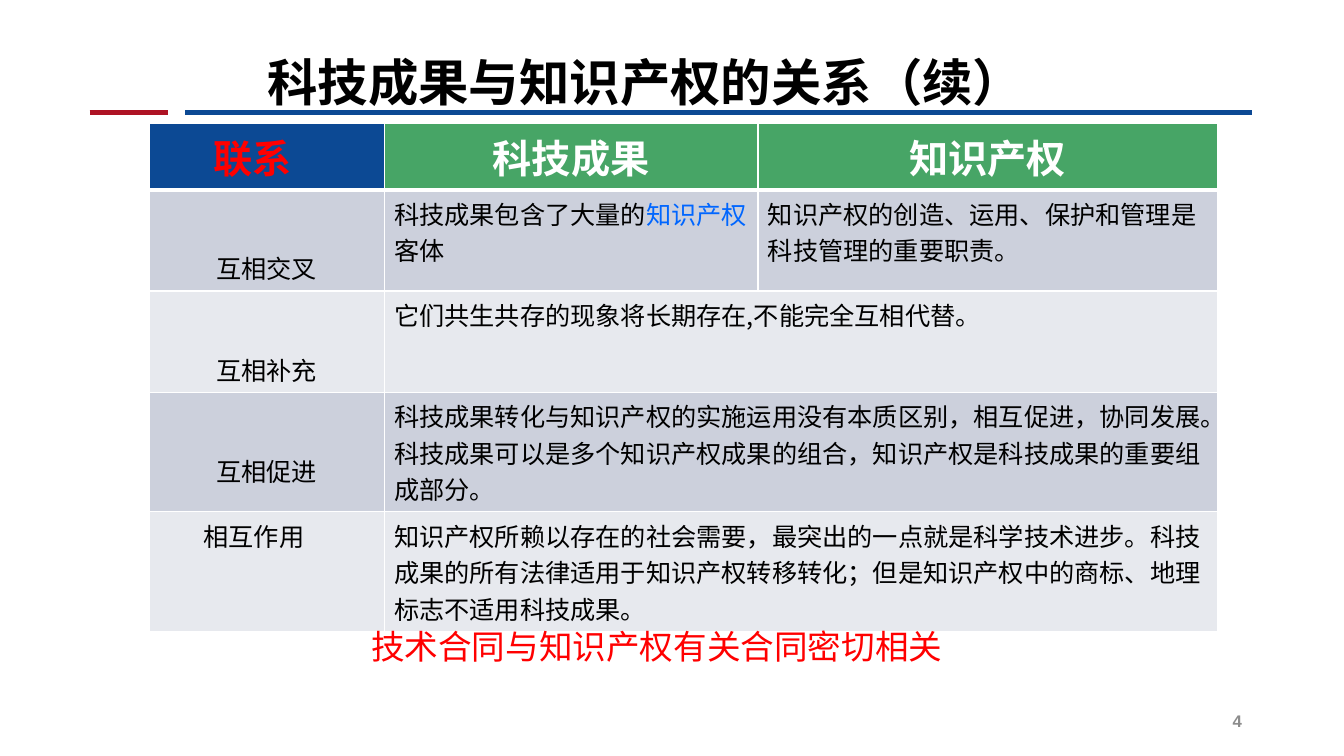
import pptx
import pptx.dml.color
import pptx.enum.shapes
import pptx.enum.text
import pptx.oxml.ns
import lxml.etree
from dataclasses import dataclass
from pptx.util import Cm

TITLE = "科技成果与知识产权的关系（续）"
HEADERS = ["联系", "科技成果", "知识产权"]
# Each row: label, then one list of paragraphs per cell; a paragraph is a list of (text, colour name).
ROWS = [
    ("互相交叉",
     [[("科技成果包含了大量的", "black"), ("知识产权", "link"), ("客体", "black")]],
     [[("知识产权的创造、运用、保护和管理是科技管理的重要职责。", "black")]]),
    ("互相补充",
     [[("它们共生共存的现象将长期存在,不能完全互相代替。", "black")]]),
    ("互相促进",
     [[("科技成果转化与知识产权的实施运用没有本质区别，相互促进，协同发展。", "black")],
      [("科技成果可以是多个知识产权成果的组合，知识产权是科技成果的重要组成部分。", "black")]]),
    ("相互作用",
     [[("知识产权所赖以存在的社会需要，最突出的一点就是科学技术进步。科技成果的所有法律适用于"
        "知识产权转移转化；但是知识产权中的商标、地理标志不适用科技成果。", "black")]]),
]
CONCLUSION = "技术合同与知识产权有关合同密切相关"
PAGE_NUMBER = "4"

COLUMN_WIDTHS = [5.92, 9.42, 11.58]
ROW_HEIGHTS = [1.5, 2.13, 2.16, 2.97, 3.02]
RULES = [(2.26, 4.24, "crimson"), (4.67, 31.55, "navy")]
RULE_TOP = 2.84


@dataclass(frozen=True)
class Theme:
    black: str = "000000"
    white: str = "FFFFFF"
    red: str = "FF0000"
    link: str = "0066FF"
    crimson: str = "AE1324"
    navy: str = "0C4994"
    green: str = "47A566"
    band_dark: str = "CCD0DC"
    band_light: str = "E7E9EE"
    grey: str = "8C8C8C"
    latin: str = "Arial"
    chinese: str = "Noto Sans CJK SC"
    title_size: int = 36
    header_size: int = 28
    closing_size: int = 24
    body_size: int = 18
    number_size: int = 12


THEME = Theme()
ALIGN = pptx.enum.text.PP_ALIGN
ANCHOR = pptx.enum.text.MSO_ANCHOR


def colour(name):
    return pptx.dml.color.RGBColor.from_string(getattr(THEME, name))


def write(frame, paragraphs, size=THEME.body_size, color="black", font=THEME.latin,
          bold=False, align=ALIGN.LEFT, spacing=None):
    """Fill a text frame from a string or from paragraphs made of (text, colour) spans."""
    if isinstance(paragraphs, str):
        paragraphs = [[(paragraphs, color)]]
    for index, spans in enumerate(paragraphs):
        para = frame.add_paragraph() if index else frame.paragraphs[0]
        para.alignment = align
        if spacing:
            para.line_spacing = spacing
        for text, span_color in spans:
            span = para.add_run()
            span.text = text
            span.font.size = pptx.util.Pt(size)
            span.font.bold = bold
            span.font.color.rgb = colour(span_color)
            span.font.name = font
            east_asian = lxml.etree.SubElement(span.font._element, pptx.oxml.ns.qn("a:ea"))
            east_asian.set("typeface", THEME.chinese)


def style_cell(cell, fill, bottom_width=1):
    properties = cell._tc.get_or_add_tcPr()
    for side, width in (("L", 1), ("R", 1), ("T", 1), ("B", bottom_width)):
        border = lxml.etree.SubElement(properties, pptx.oxml.ns.qn(f"a:ln{side}"))
        border.set("w", str(pptx.util.Pt(width)))
        solid = lxml.etree.SubElement(border, pptx.oxml.ns.qn("a:solidFill"))
        lxml.etree.SubElement(solid, pptx.oxml.ns.qn("a:srgbClr")).set("val", THEME.white)
    cell.fill.solid()
    cell.fill.fore_color.rgb = colour(fill)


def add_rules(page):
    for start, end, name in RULES:
        rule = page.shapes.add_connector(pptx.enum.shapes.MSO_CONNECTOR.STRAIGHT,
                                         Cm(start), Cm(RULE_TOP), Cm(end), Cm(RULE_TOP))
        rule.line.color.rgb = colour(name)
        rule.line.width = pptx.util.Pt(3.5)
        lxml.etree.SubElement(rule._element.spPr, pptx.oxml.ns.qn("a:effectLst"))


def add_title(page):
    title = page.shapes.title
    title.left, title.top, title.width, title.height = Cm(3.76), Cm(-0.25), Cm(22.86), Cm(3.18)
    frame = title.text_frame
    frame.word_wrap = True
    frame.auto_size = pptx.enum.text.MSO_AUTO_SIZE.NONE
    frame.vertical_anchor = ANCHOR.BOTTOM
    frame.margin_left = Cm(2.4)
    write(frame, TITLE, size=THEME.title_size, font=THEME.chinese, bold=True, align=ALIGN.CENTER)


def add_relation_table(page):
    table = page.shapes.add_table(len(ROW_HEIGHTS), len(COLUMN_WIDTHS), Cm(3.76), Cm(3.1),
                                  Cm(sum(COLUMN_WIDTHS)), Cm(sum(ROW_HEIGHTS))).table
    for column, width in zip(table.columns, COLUMN_WIDTHS):
        column.width = Cm(width)
    for row, height in zip(table.rows, ROW_HEIGHTS):
        row.height = Cm(height)

    for index, header in enumerate(HEADERS):
        cell = table.cell(0, index)
        first = index == 0
        style_cell(cell, "navy" if first else "green", bottom_width=3)
        if first:
            cell.margin_left = Cm(1.62)
        write(cell.text_frame, header, size=THEME.header_size, bold=True,
              color="red" if first else "white", align=ALIGN.LEFT if first else ALIGN.CENTER)

    for number, (label, *contents) in enumerate(ROWS, start=1):
        for index in range(len(COLUMN_WIDTHS)):
            style_cell(table.cell(number, index), "band_dark" if number % 2 else "band_light")
        label_cell = table.cell(number, 0)
        if number == len(ROWS):
            label_cell.margin_left = Cm(1.37)
            write(label_cell.text_frame, label)
        else:
            write(label_cell.text_frame, label, align=ALIGN.CENTER, spacing=2.5)
        if len(contents) == 1:
            table.cell(number, 1).merge(table.cell(number, 2))
        for index, paragraphs in enumerate(contents, start=1):
            write(table.cell(number, index).text_frame, paragraphs, font=THEME.chinese)


def add_text(page, text, left, top, width, height, anchor=ANCHOR.TOP, **text_format):
    box = page.shapes.add_textbox(Cm(left), Cm(top), Cm(width), Cm(height))
    box.text_frame.word_wrap = True
    box.text_frame.vertical_anchor = anchor
    write(box.text_frame, text, **text_format)


def main():
    deck = pptx.Presentation()
    deck.slide_width, deck.slide_height = Cm(33.87), Cm(19.05)
    page = deck.slides.add_slide(deck.slide_layouts[5])
    add_rules(page)
    add_title(page)
    add_relation_table(page)
    add_text(page, CONCLUSION, 6.25, 15.65, 20.6, 1.28,
             size=THEME.closing_size, color="red", align=ALIGN.CENTER)
    add_text(page, PAGE_NUMBER, 23.93, 17.65, 7.62, 1.02, anchor=ANCHOR.MIDDLE,
             size=THEME.number_size, color="grey", bold=True, align=ALIGN.RIGHT)
    deck.save("out.pptx")


if __name__ == "__main__":
    main()
